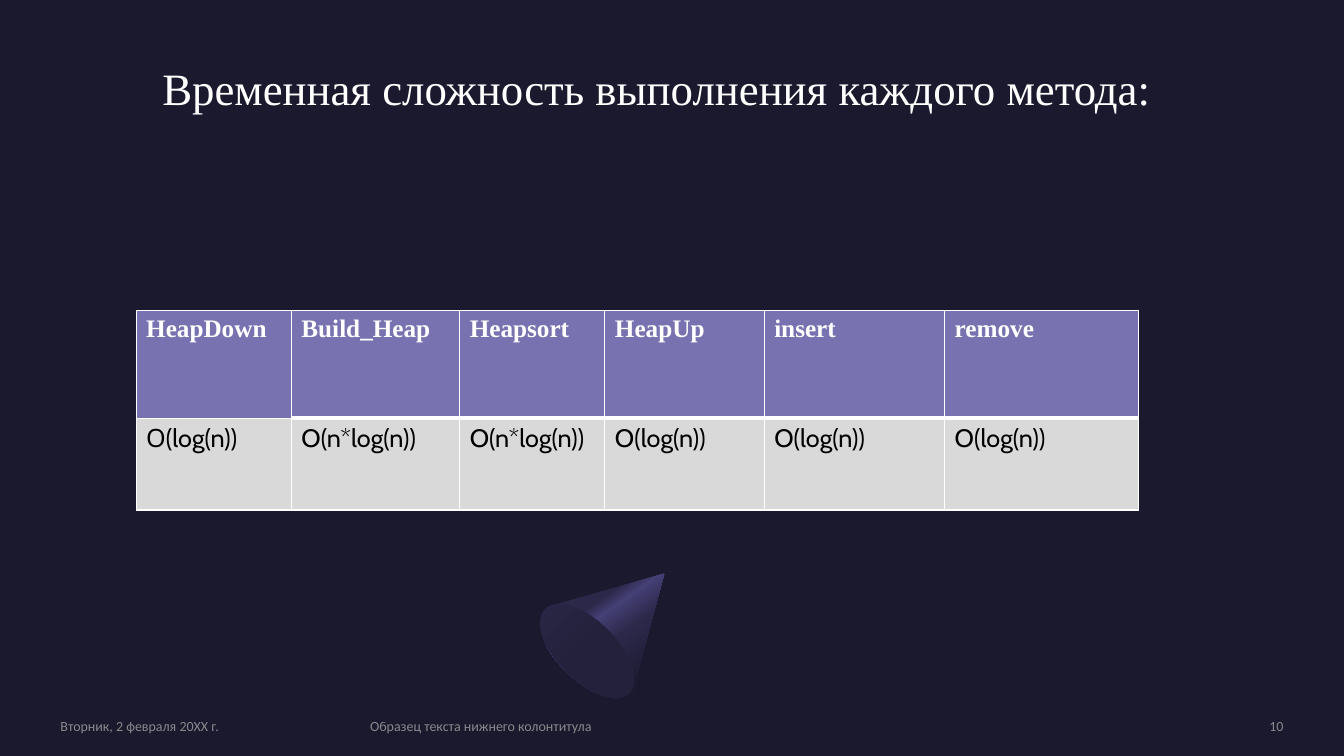
from dataclasses import dataclass
from lxml.etree import SubElement as Sub
from pptx import Presentation
from pptx.dml.color import RGBColor as Rgb
from pptx.enum.shapes import MSO_SHAPE as Kind
from pptx.enum.text import MSO_ANCHOR as Anchor, PP_ALIGN as Align
from pptx.oxml import parse_xml
from pptx.oxml.ns import nsdecls, qn
from pptx.util import Pt

SCALE = 9144


@dataclass(frozen=True)
class Theme:
    """Colours, fonts and type sizes of the slide."""
    back: str = "1B192E"
    white: str = "FFFFFF"
    black: str = "000000"
    head: str = "7872B0"
    body: str = "D9D9D9"
    note: str = "A6A6A6"
    side: tuple = ((32, "2C284A"), (40, "454075"), (56, "2C284A"), (88, "1B192E"))
    base: tuple = ((50, "23213C"), (100, "2C284A"))
    serif: str = "Times New Roman"
    sans: str = "Cabin"
    small: str = "Calibri"
    title: int = 32
    cell: int = 18
    foot: int = 10


THEME = Theme()
HEADS = ["HeapDown", "Build_Heap", "Heapsort", "HeapUp", "insert", "remove"]
COSTS = ["О(log(n))", "O(n*log(n))", "O(n*log(n))"] + ["O(log(n))"] * 3
COLS = [154, 167, 144, 158, 179, 192]
ROWS = [107, 91]
FEET = [
    (60, 288, "Вторник, 2 февраля 20XX г.", Align.LEFT),
    (367, 698, "Образец текста нижнего колонтитула", Align.LEFT),
    (1088, 185, "10", Align.RIGHT),
]
RIM = [
    [(628, 683), (627, 685), (626, 686), (624, 688)],
    [(624, 688), (613, 699), (585, 690), (562, 667)],
    [(562, 667), (538, 644), (529, 616), (541, 604)],
    [(541, 604), (542, 603), (544, 602), (546, 601)],
]


def px(num):
    """Turn px into EMU."""
    return round(num * SCALE)


def apply(item, form):
    """Set each attribute named in a dict."""
    for key, val in form.items():
        setattr(item, key, val)


def write(frame, text, form, tint, align=Align.LEFT):
    """Put one styled run into a text frame."""
    para = frame.paragraphs[0]
    para.alignment = align
    run = para.add_run()
    run.text = text
    apply(run.font, form)
    run.font.color.rgb = Rgb.from_string(tint)
    return run


def label(slide, box, text, form, tint, align=Align.LEFT, anchor=Anchor.TOP):
    """Add a text box without insets."""
    frame = slide.shapes.add_textbox(*map(px, box)).text_frame
    apply(frame, dict(word_wrap=True, vertical_anchor=anchor, margin_left=0,
                      margin_top=0, margin_right=0, margin_bottom=0))
    return write(frame, text, form, tint, align)


def blend(shape, stops, angle):
    """Give a shape a linear gradient and no line or shadow."""
    shape.shadow.inherit = False
    shape.line.fill.background()
    shape.fill.background()
    marks = "".join(f'<a:gs pos="{pos * 1000}"><a:srgbClr val="{tint}"/></a:gs>'
                    for pos, tint in stops)
    grad = parse_xml(f'<a:gradFill {nsdecls("a")} rotWithShape="1"><a:gsLst>{marks}'
                     f'</a:gsLst><a:lin ang="{angle * 60000}" scaled="0"/></a:gradFill>')
    props = shape.element.spPr
    props.replace(props.find(qn("a:noFill")), grad)


def curve(ends, steps=12):
    """Sample a cubic curve."""
    for step in range(1, steps + 1):
        t = step / steps
        mix = ((1 - t) ** 3, 3 * t * (1 - t) ** 2, 3 * t * t * (1 - t), t ** 3)
        yield tuple(sum(w * p[axis] for w, p in zip(mix, ends)) for axis in (0, 1))


def cone(slide, box):
    """Draw the cone: its side, then its base."""
    left, top = box
    move = lambda p: (px(left + p[0] - 529), px(top + p[1] - 569))
    rim = [RIM[0][0]] + [p for part in RIM for p in curve(part)]
    path = slide.shapes.build_freeform(*move((659, 569)), scale=1.0)
    path.add_line_segments([move(p) for p in rim], close=True)
    blend(path.convert_to_shape(), THEME.side, 55)
    disc = slide.shapes.add_shape(Kind.OVAL, *map(px, (left + 24, top + 18, 59, 118)))
    disc.rotation = 135
    blend(disc, THEME.base, 90)


def edge(cell, widths):
    """Draw the four borders of a cell in white."""
    props = cell._tc.get_or_add_tcPr()
    for spot, (side, width) in enumerate(zip("LRTB", widths)):
        line = parse_xml(f'<a:ln{side} {nsdecls("a")} w="{Pt(width)}"><a:solidFill>'
                         f'<a:srgbClr val="{THEME.white}"/></a:solidFill></a:ln{side}>')
        props.insert(spot, line)


def costs(slide, box):
    """Add the table of methods and their costs."""
    size = (sum(COLS), sum(ROWS))
    grid = slide.shapes.add_table(len(ROWS), len(COLS), *map(px, box + size)).table
    grid.horz_banding = False
    for col, width in zip(grid.columns, COLS):
        col.width = px(width)
    for row, high in zip(grid.rows, ROWS):
        row.height = px(high)
    looks = [(HEADS, THEME.head, THEME.white, THEME.serif, True),
             (COSTS, THEME.body, THEME.black, THEME.sans, False)]
    for r, (texts, fill, tint, face, bold) in enumerate(looks):
        for c, text in enumerate(texts):
            cell = grid.cell(r, c)
            cell.fill.solid()
            cell.fill.fore_color.rgb = Rgb.from_string(fill)
            form = dict(name=face, size=Pt(THEME.cell), bold=bold)
            write(cell.text_frame, text, form, tint)
            rule = 3 if c else 1
            edge(cell, (1, 1, 1, rule) if r == 0 else (1, 1, rule, 1))


def footer(slide, box):
    """Add the date, the footer text and the slide number."""
    top, high = box
    form = dict(name=THEME.small, size=Pt(THEME.foot))
    for left, width, text, align in FEET:
        run = label(slide, (left, top, width, high), text, form, THEME.note,
                    align, Anchor.MIDDLE)
        for tint in run._r.iter(qn("a:srgbClr")):
            Sub(tint, qn("a:alpha"), val="80000")


def main():
    """Build and save the slide."""
    deck = Presentation()
    apply(deck, dict(slide_width=px(1333), slide_height=px(750)))
    slide = deck.slides.add_slide(deck.slide_layouts[6])
    slide.background.fill.solid()
    slide.background.fill.fore_color.rgb = Rgb.from_string(THEME.back)
    cone(slide, (529, 569))
    costs(slide, (135, 308))
    footer(slide, (712, 17))
    label(slide, (161, 60, 1112, 108), "Временная сложность выполнения каждого метода:",
          dict(name=THEME.serif, size=Pt(THEME.title)), THEME.white)
    deck.save("out.pptx")


if __name__ == "__main__":
    main()
